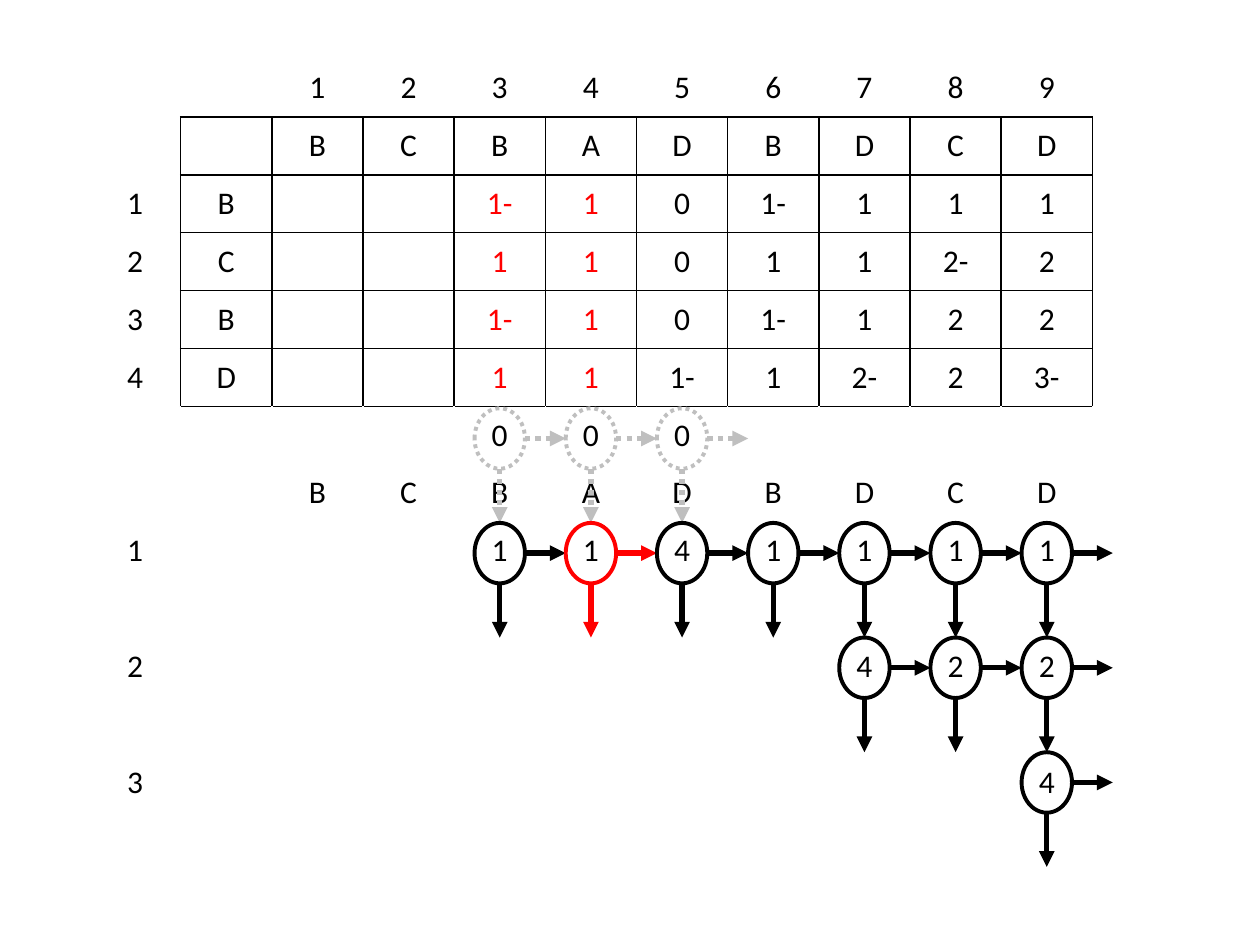
from dataclasses import dataclass

from lxml.etree import SubElement
from pptx import Presentation
from pptx.dml.color import RGBColor
from pptx.enum.dml import MSO_LINE
from pptx.enum.shapes import MSO_CONNECTOR, MSO_SHAPE
from pptx.enum.text import MSO_ANCHOR, PP_ALIGN
from pptx.oxml.ns import qn
from pptx.util import Inches, Pt


@dataclass(frozen=True)
class Theme:
    """Colours, font and line weights of the slide."""
    ink: str = "000000"
    accent: str = "FF0000"
    muted: str = "BFBFBF"
    paper: str = "FFFFFF"
    font: str = "Calibri"
    text_size: int = 18
    node_line: float = 2.25
    arrow_line: float = 3
    border: float = 1


THEME = Theme()
LEFT, TOP, WIDTH, HEIGHT = 0.71, 0.47, 7.96, 5.97
MATRIX = [
    ". . 1 2 3 4 5 6 7 8 9",
    ". . B C B A D B D C D",
    "1 B . . 1- 1 0 1- 1 1 1",
    "2 C . . 1 1 0 1 1 2- 2",
    "3 B . . 1- 1 0 1- 1 2 2",
    "4 D . . 1 1 1- 1 2- 2 3-",
    ". . . . 0 0 0 . . . .",
    ". . B C B A D B D C D",
    "1 . . . 1 1 4 1 1 1 1",
    ". . . . . . . . . . .",
    "2 . . . . . . . 4 2 2",
    ". . . . . . . . . . .",
    "3 . . . . . . . . . 4",
]
CELLS = [line.split() for line in MATRIX]
COLUMN = WIDTH / len(CELLS[0])
ROW = HEIGHT / len(CELLS)
FRAMED_ROWS, FRAMED_COLUMNS = range(1, 6), range(1, 11)
RED_ROWS, RED_COLUMNS = range(2, 6), range(4, 6)
NODE_WIDTH, NODE_HEIGHT = 0.4, 0.48
FIRST_LEVEL, LEVEL_PITCH = 3.48, 0.91
LEVELS = [range(4, 7), range(4, 11), range(8, 11), range(10, 11)]
RED_NODE = (1, 5)


def is_framed(row, column):
    """Tell whether a cell belongs to the ruled matrix."""
    return row in FRAMED_ROWS and column in FRAMED_COLUMNS


def rule_cell(cell, row, column):
    """Draw dark sides where the cell or its neighbour is framed."""
    neighbours = {"L": (row, column - 1), "R": (row, column + 1),
                  "T": (row - 1, column), "B": (row + 1, column)}
    properties = cell._tc.get_or_add_tcPr()
    for side, neighbour in neighbours.items():
        dark = is_framed(row, column) or is_framed(*neighbour)
        border = SubElement(properties, qn(f"a:ln{side}"), w=str(Pt(THEME.border)))
        fill = SubElement(border, qn("a:solidFill"))
        SubElement(fill, qn("a:srgbClr"), val=THEME.ink if dark else THEME.paper)


def write_cell(cell, value, color):
    """Write one centred value."""
    cell.vertical_anchor = MSO_ANCHOR.MIDDLE
    paragraph = cell.text_frame.paragraphs[0]
    paragraph.alignment = PP_ALIGN.CENTER
    run = paragraph.add_run()
    run.text = value
    run.font.name = THEME.font
    run.font.size = Pt(THEME.text_size)
    run.font.color.rgb = RGBColor.from_string(color)


def add_matrix(slide):
    """Add the table of values and graph labels."""
    matrix = slide.shapes.add_table(
        len(CELLS), len(CELLS[0]),
        Inches(LEFT), Inches(TOP), Inches(WIDTH), Inches(HEIGHT)).table
    matrix.first_row = matrix.horz_banding = False
    for row, values in enumerate(CELLS):
        matrix.rows[row].height = Inches(ROW)
        for column, value in enumerate(values):
            cell = matrix.cell(row, column)
            rule_cell(cell, row, column)
            cell.fill.background()
            if value != ".":
                red = row in RED_ROWS and column in RED_COLUMNS
                write_cell(cell, value, THEME.accent if red else THEME.ink)


def style_line(line, color, weight, dotted):
    """Set colour, weight and dash of a line."""
    line.color.rgb = RGBColor.from_string(color)
    line.width = Pt(weight)
    if dotted:
        line.dash_style = MSO_LINE.ROUND_DOT


def add_arrow(shapes, start, end, color, dotted):
    """Add a straight arrow between two points."""
    arrow = shapes.add_connector(
        MSO_CONNECTOR.STRAIGHT, *(Inches(length) for length in (*start, *end)))
    style_line(arrow.line, color, THEME.arrow_line, dotted)
    SubElement(arrow.line._get_or_add_ln(), qn("a:tailEnd"), type="triangle")
    SubElement(arrow._element.spPr, qn("a:effectLst"))


def add_node(slide, level, column):
    """Add a graph node with its right and down arrows."""
    dotted = level == 0
    color = THEME.muted if dotted else THEME.ink
    if (level, column) == RED_NODE:
        color = THEME.accent
    x = LEFT + (column + 0.5) * COLUMN
    y = FIRST_LEVEL + level * LEVEL_PITCH
    right, bottom = x + NODE_WIDTH / 2, y + NODE_HEIGHT / 2
    shapes = slide.shapes.add_group_shape().shapes
    node = shapes.add_shape(
        MSO_SHAPE.OVAL, Inches(x - NODE_WIDTH / 2), Inches(y - NODE_HEIGHT / 2),
        Inches(NODE_WIDTH), Inches(NODE_HEIGHT))
    node.shadow.inherit = False
    node.fill.background()
    style_line(node.line, color, THEME.node_line, dotted)
    add_arrow(shapes, (right, y), (right + COLUMN - NODE_WIDTH, y), color, dotted)
    add_arrow(shapes, (x, bottom), (x, bottom + LEVEL_PITCH - NODE_HEIGHT),
              color, dotted)


def main():
    """Build and save the slide."""
    presentation = Presentation()
    presentation.slide_width, presentation.slide_height = Inches(10), Inches(7.5)
    slide = presentation.slides.add_slide(presentation.slide_layouts[6])
    add_matrix(slide)
    for level, columns in enumerate(LEVELS):
        for column in columns:
            add_node(slide, level, column)
    presentation.save("out.pptx")


if __name__ == "__main__":
    main()
